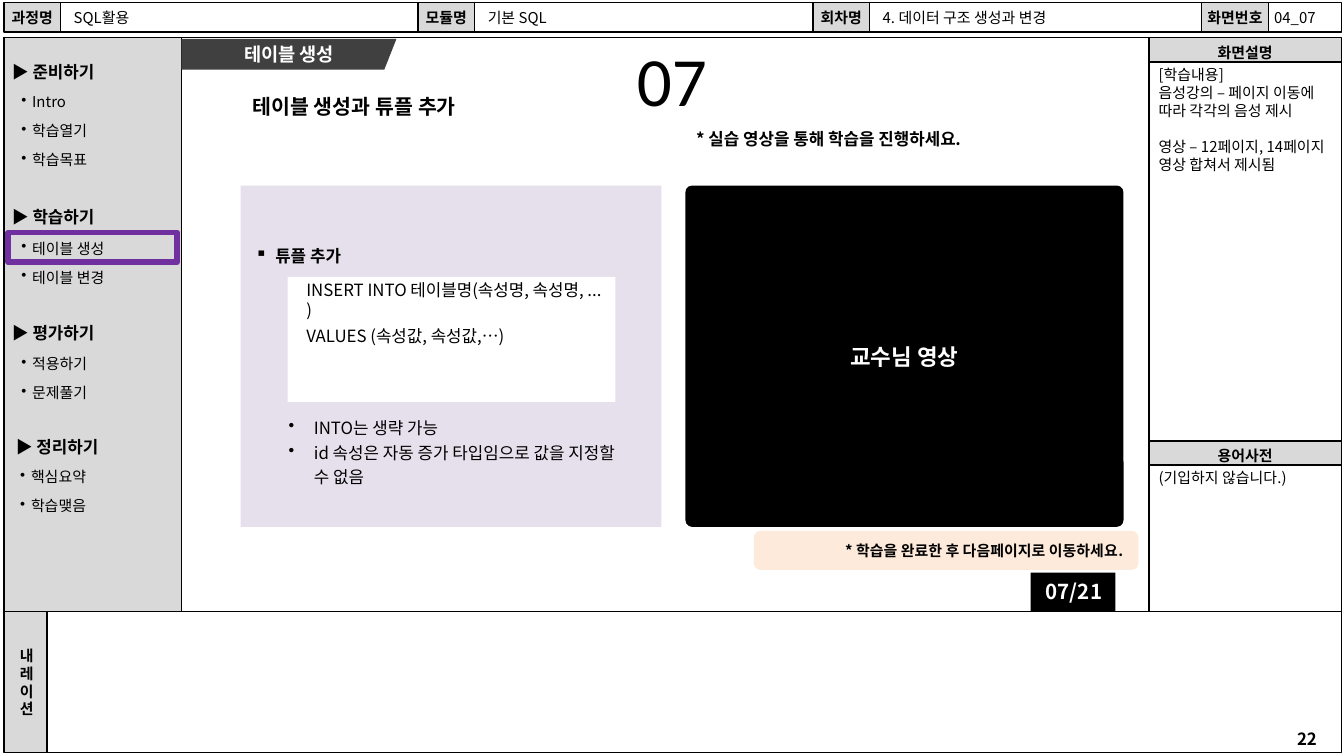
from dataclasses import dataclass
from itertools import pairwise

from lxml import etree
from pptx import Presentation
from pptx.dml.color import RGBColor
from pptx.enum.shapes import MSO_SHAPE
from pptx.enum.text import MSO_ANCHOR, PP_ALIGN
from pptx.oxml.ns import qn
from pptx.util import Pt

RECT, ROUND = MSO_SHAPE.RECTANGLE, MSO_SHAPE.ROUNDED_RECTANGLE
LEFT, MID, RIGHT = PP_ALIGN.LEFT, PP_ALIGN.CENTER, PP_ALIGN.RIGHT
TOP, CENTER = MSO_ANCHOR.TOP, MSO_ANCHOR.MIDDLE
FONT = "Noto Sans CJK KR"
INSET = (7.2, 3.6, 7.2, 3.6)
SLIM = (6.5, 2.9, 6.5, 2.9)
COLORS = {
    "black": "000000", "white": "FFFFFF", "gray": "D9D9D9", "dark": "404040",
    "purple": "7030A0", "lilac": "E6E0EC", "peach": "FDEADA",
}


@dataclass
class Group:
    """One sidebar heading with its bulleted items."""
    head: str
    x: float
    y: float
    items: list[str]
    top: float
    inset: float = 7.2


GROUPS = [
    Group("▶ 준비하기", -0.7, 29.5, ["Intro", "학습열기", "학습목표"], 49.7),
    Group("▶ 학습하기", -0.7, 107.3, ["테이블 생성", "테이블 변경"], 128.2),
    Group("▶ 평가하기", -0.7, 169.2, ["적용하기", "문제풀기"], 190.1),
    Group("▶ 정리하기", 1.4, 230.4, ["핵심요약", "학습맺음"], 250.6, 6.5),
]
EDGES = [2.2, 32.4, 223.9, 254.2, 435.6, 465.8, 643.7, 679.7, 718.6]
HEADER = ["과정명", "SQL활용", "모듈명", "기본 SQL",
          "회차명", "4. 데이터 구조 생성과 변경", "화면번호", "04_07"]


def color(name: str) -> RGBColor:
    return RGBColor.from_string(COLORS[name])


def paint(shape, fill: str | None, line: str | None = None, width: float = 0.75):
    shape.shadow.inherit = False
    if fill:
        shape.fill.solid()
        shape.fill.fore_color.rgb = color(fill)
    else:
        shape.fill.background()
    if line:
        shape.line.color.rgb = color(line)
        shape.line.width = Pt(width)
    else:
        shape.line.fill.background()
    return shape


def box(slide, x: float, y: float, w: float, h: float, fill: str | None,
        line: str | None = None, width: float = 0.75, kind=RECT,
        bend: float | None = None):
    shape = slide.shapes.add_shape(kind, Pt(x), Pt(y), Pt(w), Pt(h))
    if bend is not None:
        shape.adjustments[0] = bend
    return paint(shape, fill, line, width)


def area(slide, x: float, y: float, w: float, h: float):
    return slide.shapes.add_textbox(Pt(x), Pt(y), Pt(w), Pt(h))


def write(shape, *lines: str, size: float = 8, bold: bool = False,
          ink: str = "black", font: str = FONT, align=LEFT, anchor=TOP,
          inset: tuple = INSET, wrap: bool = True, gap: float = 0,
          after: float = 0, lead: float | None = None,
          bullet: str | None = None, dent: float = 0):
    """Fill a shape with paragraphs; gap is the space before all but the first."""
    frame = shape.text_frame
    frame.word_wrap = wrap
    frame.vertical_anchor = anchor
    (frame.margin_left, frame.margin_top,
     frame.margin_right, frame.margin_bottom) = map(Pt, inset)
    for i, line in enumerate(lines):
        para = frame.add_paragraph() if i else frame.paragraphs[0]
        para.alignment = align
        para.space_before = Pt(gap if i else 0)
        para.space_after = Pt(after)
        if lead:
            para.line_spacing = lead
        if bullet:
            props = para._p.get_or_add_pPr()
            props.set("marL", str(Pt(dent)))
            props.set("indent", str(-Pt(dent)))
            etree.SubElement(props, qn("a:buChar")).set("char", bullet)
        run = para.add_run()
        run.text = line
        run.font.size, run.font.bold, run.font.name = Pt(size), bold, font
        run.font.color.rgb = color(ink)
        east = etree.SubElement(run.font._element, qn("a:ea"))
        east.set("typeface", font)
    return frame


def frames(slide):
    box(slide, 2.2, 20.2, 613.4, 307.4, "white", "black")
    box(slide, 2.2, 20.2, 95, 313.2, "gray", "black")
    box(slide, 615.6, 23, 103, 309.6, "white", "black")
    for y, label in ((236.2, "용어사전"), (20.2, "화면설명")):
        write(box(slide, 615.6, y, 103, 13, "gray", "black"), label, bold=True,
              align=MID, anchor=CENTER, wrap=False, lead=1.3)
    box(slide, 17.3, 327.6, 701.3, 75.6, "white", "black")
    write(box(slide, 2.2, 327.6, 23, 75.6, "gray", "black"), *"내레이션",
          bold=True, align=MID, anchor=CENTER, wrap=False,
          inset=(7.2, 3.6, 5.8, 3.6))
    write(area(slide, 683.3, 386.6, 33.8, 18), "22", size=9, bold=True, align=MID)


def header(slide):
    for i, ((left, right), text) in enumerate(zip(pairwise(EDGES), HEADER)):
        label = i % 2 == 0
        pad = 2.9 if text == HEADER[-1] else 7.2
        cell = box(slide, left, 1.3, right - left, 16,
                   "gray" if label else "white", "black")
        write(cell, text, bold=label, align=MID if label else LEFT,
              anchor=CENTER, wrap=not label,
              inset=INSET if label else (pad, 2.9, 0, 2.9))


def sidebar(slide):
    for group in GROUPS:
        write(area(slide, group.x, group.y, 82.8, 18), group.head,
              size=9, bold=True)
        write(area(slide, 4.3, group.top, 92.9, 15 * len(group.items)),
              *group.items, inset=(group.inset, 0, 0, 0), gap=6,
              bullet="•", dent=5.8)
    box(slide, 4.3, 124.6, 90.7, 15.8, None, "purple", 3)


def notes(slide):
    frame = write(area(slide, 614.2, 32.4, 105.8, 204.5), "[학습내용]",
                  "음성강의 – 페이지 이동에 따라 각각의 음성 제시",
                  "영상 – 12페이지, 14페이지 영상 합쳐서 제시됨", inset=SLIM)
    frame.paragraphs[-1].space_before = Pt(9.6)
    write(area(slide, 614.2, 248.4, 105.8, 79.9), "(기입하지 않습니다.)",
          inset=SLIM)


def lesson(slide):
    build = slide.shapes.build_freeform(Pt(97.2), Pt(20.9))
    build.add_line_segments([(Pt(212.4), Pt(20.9)), (Pt(205.9), Pt(37.4)),
                             (Pt(97.2), Pt(37.4))], close=True)
    write(paint(build.convert_to_shape(), "dark"), "테이블 생성", size=10,
          bold=True, ink="white", align=MID, anchor=CENTER)
    write(area(slide, 125.3, 45.4, 184.3, 23), "테이블 생성과 튜플 추가",
          size=11, bold=True, inset=(10, 5, 10, 5))
    write(area(slide, 36, 16.6, 648, 67.7), "07", size=37, font="Calibri",
          align=MID)
    write(area(slide, 365.8, 65.5, 234.7, 18),
          "* 실습 영상을 통해 학습을 진행하세요.", size=9, bold=True)

    box(slide, 128.9, 99.4, 225.4, 182.9, "lilac")
    write(area(slide, 129.6, 128.2, 218.9, 18), "튜플 추가", size=9, bold=True,
          bullet="▪", dent=10.8)
    box(slide, 154.1, 148.3, 175.7, 67, "white")
    write(area(slide, 157, 146.2, 173.5, 43.2),
          "INSERT INTO 테이블명(속성명, 속성명, ... )",
          "VALUES (속성값, 속성값,…)", size=9, after=3)
    write(area(slide, 147.6, 218.2, 198, 46.8), "INTO는 생략 가능",
          "id 속성은 자동 증가 타입임으로 값을 지정할 수 없음",
          size=9, lead=1.2, bullet="•", dent=13.5)

    write(box(slide, 367.2, 99.4, 234.7, 182.9, "black", kind=ROUND, bend=0.02),
          "교수님 영상", size=12, bold=True, ink="white", align=MID,
          anchor=CENTER)
    write(box(slide, 403.9, 284.4, 205.9, 20.9, "peach", kind=ROUND),
          "* 학습을 완료한 후 다음페이지로 이동하세요.", bold=True,
          align=RIGHT, anchor=CENTER)
    write(box(slide, 552.2, 306.7, 45.4, 20.9, "black"), "07/21", size=11,
          bold=True, ink="white", align=RIGHT, wrap=False)


def main():
    deck = Presentation()
    deck.slide_width, deck.slide_height = Pt(720), Pt(405)
    slide = deck.slides.add_slide(deck.slide_layouts[6])
    for draw in (frames, header, sidebar, notes, lesson):
        draw(slide)
    deck.save("out.pptx")


if __name__ == "__main__":
    main()
